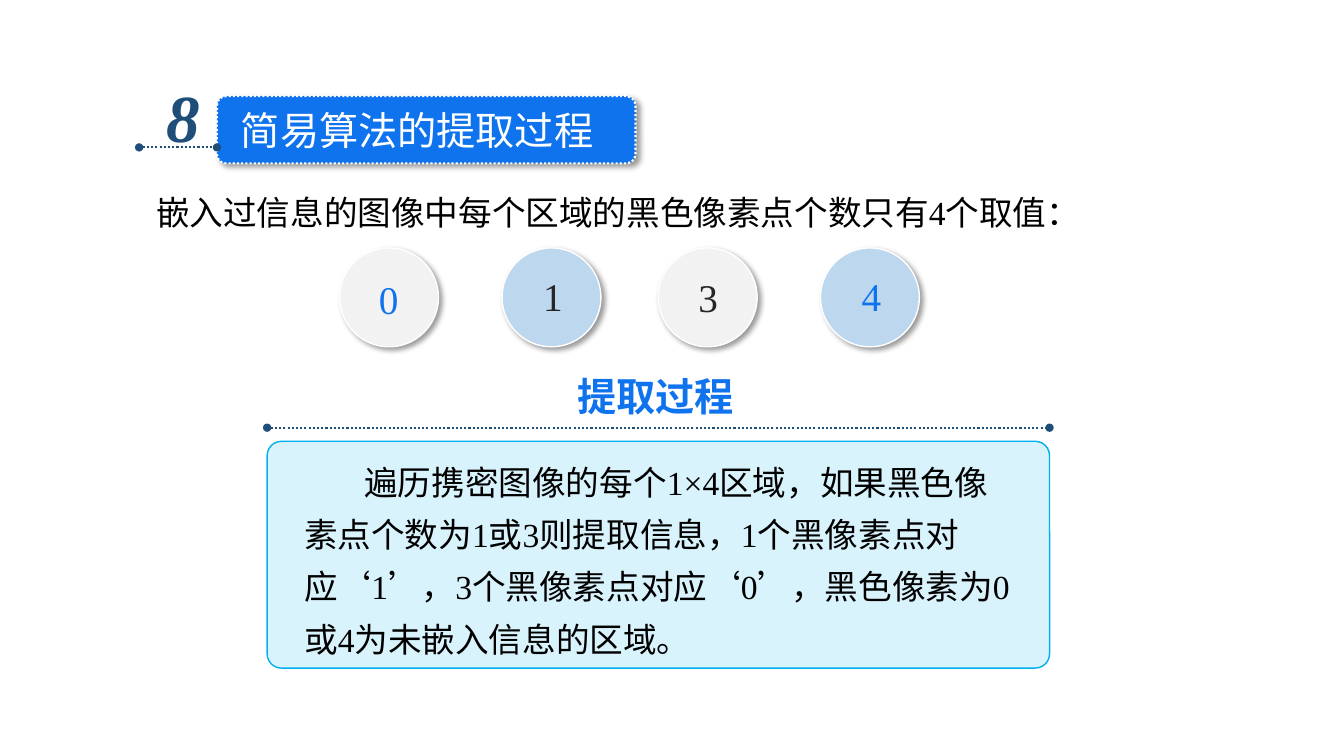
from lxml.etree import SubElement
from pptx import Presentation
from pptx.dml.color import RGBColor
from pptx.enum.dml import MSO_LINE
from pptx.enum.lang import MSO_LANGUAGE_ID
from pptx.enum.shapes import MSO_CONNECTOR, MSO_SHAPE
from pptx.enum.text import MSO_AUTO_SIZE
from pptx.oxml.ns import qn
from pptx.util import Pt

COLORS = {
    "blue": "0F73EE",
    "navy": "1F4E79",
    "cyan": "00B0F0",
    "pale_blue": "BDD7EE",
    "pale_gray": "F2F2F2",
    "dark": "262626",
    "black": "000000",
    "white": "FFFFFF",
}
LATIN_FONT = "Times New Roman"
CHINESE_FONT = "Noto Sans CJK SC"

presentation = Presentation()
presentation.slide_width = Pt(960)
presentation.slide_height = Pt(540)
slide = presentation.slides.add_slide(presentation.slide_layouts[6])


def add_panel(kind, box, fill, line, line_width, shadowed=True):
    """Add a filled, outlined shape, by default with a soft shadow to the lower right."""
    shape = slide.shapes.add_shape(kind, *(Pt(length) for length in box))
    shape.fill.solid()
    shape.fill.fore_color.rgb = RGBColor.from_string(COLORS[fill])
    shape.line.color.rgb = RGBColor.from_string(COLORS[line])
    shape.line.width = Pt(line_width)
    shape.shadow.inherit = False
    if shadowed:
        effects = shape._element.spPr.find(qn("a:effectLst"))
        shadow = SubElement(effects, qn("a:outerShdw"), blurRad=str(Pt(4)), dist=str(Pt(3)),
                            dir="2700000", algn="tl", rotWithShape="0")
        color = SubElement(shadow, qn("a:srgbClr"), val=COLORS["black"])
        SubElement(color, qn("a:alpha"), val="40000")
    return shape


def add_text(text, box, size, color, wrap=True, font_name=LATIN_FONT):
    """Add a one-paragraph text box and return its paragraph and font."""
    text_box = slide.shapes.add_textbox(*(Pt(length) for length in box))
    text_frame = text_box.text_frame
    text_frame.text = text
    text_frame.word_wrap = wrap
    text_frame.auto_size = MSO_AUTO_SIZE.SHAPE_TO_FIT_TEXT
    paragraph = text_frame.paragraphs[0]
    font = paragraph.runs[0].font
    font.name = font_name
    font.size = Pt(size)
    font.color.rgb = RGBColor.from_string(COLORS[color])
    font.language_id = MSO_LANGUAGE_ID.SIMPLIFIED_CHINESE
    SubElement(paragraph.runs[0]._r.rPr, qn("a:ea"), typeface=CHINESE_FONT)
    return paragraph, font


# Section heading
badge = add_panel(MSO_SHAPE.ROUNDED_RECTANGLE, (155, 68.7, 299, 48), "blue", "white", 1.5)
badge.adjustments[0] = 0.137
badge.line.dash_style = MSO_LINE.ROUND_DOT
add_text("简易算法的提取过程", (165, 72.5, 269, 41), 28, "white", wrap=False)
_, number_font = add_text("8", (111.6, 50.5, 39, 65.5), 48, "navy", wrap=False)
number_font.bold = True
number_font.italic = True

# Dotted rules with round ends
for left, right, y in [(99.4, 155, 105.3), (190.8, 749.7, 305.5)]:
    rule = slide.shapes.add_connector(MSO_CONNECTOR.STRAIGHT, Pt(left), Pt(y), Pt(right), Pt(y))
    rule.line.color.rgb = RGBColor.from_string(COLORS["navy"])
    rule.line.width = Pt(1.5)
    rule.line.dash_style = MSO_LINE.ROUND_DOT
    for end in ("a:headEnd", "a:tailEnd"):
        SubElement(rule.line._ln, qn(end), type="oval")
    SubElement(rule._element.spPr, qn("a:effectLst"))

# Possible black pixel counts
introduction, _ = add_text("嵌入过信息的图像中每个区域的黑色像素点个数只有4个取值：",
                           (68.4, 133.2, 891.6, 36), 24, "black")
introduction._p.get_or_add_pPr().set("marL", str(Pt(36)))

counts = [
    ("0", 242.6, "pale_gray", "blue", 263.5, 193),
    ("1", 358.6, "pale_blue", "dark", 380.9, 190.8),
    ("3", 470.2, "pale_gray", "dark", 491.8, 191.5),
    ("4", 586.1, "pale_blue", "blue", 608.4, 190.8),
]
for count, circle_left, fill, color, text_left, text_top in counts:
    add_panel(MSO_SHAPE.OVAL, (circle_left, 177.1, 70.6, 70.6), fill, "white", 1)
    add_text(count, (text_left, text_top, 54, 41), 28, color)

# Extraction process
process_panel = add_panel(MSO_SHAPE.ROUNDED_RECTANGLE, (190.8, 315.2, 558.9, 162),
                          "cyan", "cyan", 1, shadowed=False)
process_panel.adjustments[0] = 0.063
panel_color = process_panel._element.spPr.find(qn("a:solidFill"))[0]
SubElement(panel_color, qn("a:alpha"), val="15000")

process, _ = add_text(
    "遍历携密图像的每个1×4区域，如果黑色像素点个数为1或3则提取信息，"
    "1个黑像素点对应‘1’，3个黑像素点对应‘0’，黑色像素为0或4为未嵌入信息的区域。",
    (210.2, 317.5, 524.2, 158.4), 24, "black")
process.line_spacing = 1.3
process._p.get_or_add_pPr().set("indent", str(Pt(43)))

_, title_font = add_text("提取过程", (405.4, 262.1, 130.3, 41), 28, "blue",
                         wrap=False, font_name=CHINESE_FONT)
title_font.bold = True

presentation.save("out.pptx")
